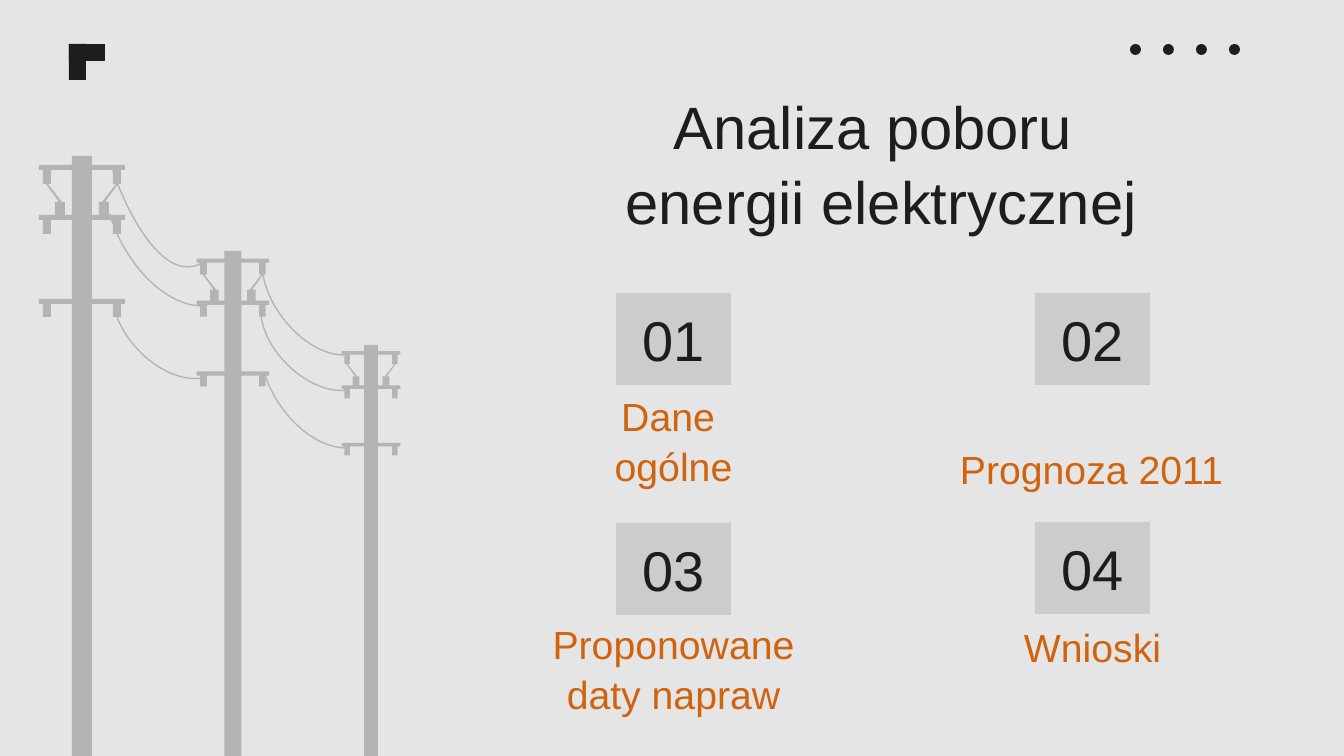
from lxml.etree import SubElement
from pptx import Presentation
from pptx.dml.color import RGBColor
from pptx.enum.shapes import MSO_SHAPE as Shape
from pptx.enum.text import MSO_ANCHOR as Anchor, PP_ALIGN as Align
from pptx.oxml.ns import qn
from pptx.util import Pt

SLIDE_WIDTH, SLIDE_HEIGHT = 1344, 756
SCALE = 9144000 / SLIDE_WIDTH
COLORS = {
    "background": "E5E5E5",
    "ink": "1D1D1B",
    "tile": "CCCCCC",
    "label": "D1630F",
    "pole": "B4B4B4",
}
POLE_HEIGHT = 600
POLE_EDGE = [
    (10, 0), (10, 9), (43, 9), (43, 14), (39, 14), (39, 28), (36, 28),
    (23, 46), (27, 46), (27, 59), (43, 59), (43, 64), (39, 64), (39, 78),
    (31, 78), (31, 64), (10, 64), (10, 143), (43, 143), (43, 148), (39, 148),
    (39, 161), (31, 161), (31, 148), (10, 148), (10, POLE_HEIGHT),
]
POLE_GAP = [(10, 59), (17, 59), (17, 46), (20, 46), (34, 28), (31, 28), (31, 14), (10, 14)]
POLES = [(194, 95), (332, 189), (43, 0)]
WIRES_BEHIND = [[(305, 199), (266, 199), (223, 149), (223, 107)]]
WIRES_IN_FRONT = [
    [(163, 107), (124, 129), (87, 54), (74, 15)],
    [(164, 150), (121, 150), (82, 99), (71, 58)],
    [(308, 292), (271, 292), (237, 253), (226, 219)],
    [(310, 234), (273, 240), (227, 199), (222, 160)],
    [(164, 222), (126, 228), (82, 187), (75, 150)],
]
CARDS = [
    ("01", ["Dane ", "ogólne"], (616, 293), (-112, 142, 339, 67)),
    ("02", ["Prognoza 2011"], (1035, 293), (-96, 138, 305, 74)),
    ("03", ["Proponowane", "daty napraw"], (616, 523), (-112, 140, 339, 67)),
    ("04", ["Wnioski"], (1035, 522), (-112, 87, 339, 74)),
]


def px(length):
    """Turn a length in px into EMU."""
    return round(length * SCALE)


def color(name):
    """Look up a named colour."""
    return RGBColor.from_string(COLORS[name])


def paint(shape, fill):
    """Give a shape a plain fill without line or shadow."""
    shape.shadow.inherit = False
    shape.fill.solid()
    shape.fill.fore_color.rgb = color(fill)
    shape.line.fill.background()


def add_block(slide, kind, box, fill):
    """Add a filled preset shape."""
    shape = slide.shapes.add_shape(kind, *map(px, box))
    paint(shape, fill)
    return shape


def write(shape, lines, *, size, ink="ink", anchor=Anchor.MIDDLE, spacing=1.0):
    """Write centred paragraphs into a shape."""
    frame = shape.text_frame
    frame.word_wrap = True
    frame.vertical_anchor = anchor
    frame.margin_left = frame.margin_right = px(13)
    frame.margin_top = frame.margin_bottom = px(13)
    for index, line in enumerate(lines):
        paragraph = frame.add_paragraph() if index else frame.paragraphs[0]
        paragraph.text = line
        paragraph.alignment = Align.CENTER
        paragraph.line_spacing = spacing
        paragraph.font.size = Pt(size)
        paragraph.font.name = "Arial"
        paragraph.font.color.rgb = color(ink)


def add_text(slide, lines, box, **text_format):
    """Add a text box with formatted lines."""
    write(slide.shapes.add_textbox(*map(px, box)), lines, **text_format)


def add_corner(slide, left, top, length, thickness):
    """Draw the corner mark."""
    for width, height in ((thickness, length), (length, thickness)):
        add_block(slide, Shape.RECTANGLE, (left, top, width, height), "ink")


def add_dots(slide, left, top, diameter, pitch, count):
    """Draw the row of dots."""
    for index in range(count):
        box = (left + index * pitch, top, diameter, diameter)
        add_block(slide, Shape.OVAL, box, "ink")


def add_card(slide, number, lines, corner, label):
    """Draw a numbered tile and its label, placed relative to the tile."""
    left, top = corner
    tile = add_block(slide, Shape.RECTANGLE, (left, top, 115, 92), "tile")
    write(tile, [number], size=30)
    label_left, label_top, width, height = label
    add_text(slide, lines, (left + label_left, top + label_top, width, height),
             size=21, ink="label", anchor=Anchor.BOTTOM, spacing=1.05)


def add_pole(slide, center, top, bottom):
    """Draw a symmetric power pole reaching from top to bottom."""
    ratio = (bottom - top) / POLE_HEIGHT

    def place(points, side):
        return [(px(center + side * x * ratio), px(top + y * ratio)) for x, y in points]

    outline = place(POLE_EDGE, 1) + place(POLE_EDGE, -1)[::-1]
    builder = slide.shapes.build_freeform(*outline[0])
    builder.add_line_segments(outline[1:], close=True)
    for side in (1, -1):
        gap = place(POLE_GAP, side)
        builder.move_to(*gap[0])
        builder.add_line_segments(gap[1:], close=True)
    paint(builder.convert_to_shape(), "pole")


def add_wire(slide, left, top, points):
    """Draw a wire as one cubic curve."""
    start, *rest = [(px(left + x), px(top + y)) for x, y in points]
    builder = slide.shapes.build_freeform(*start)
    builder.add_line_segments(rest, close=False)
    wire = builder.convert_to_shape()
    wire.shadow.inherit = False
    wire.fill.background()
    wire.line.color.rgb = color("pole")
    wire.line.width = Pt(0.75)
    segments = list(wire.element.iter(qn("a:lnTo")))
    curve = SubElement(segments[0].getparent(), qn("a:cubicBezTo"))
    for segment in segments:
        curve.append(segment[0])
        segment.getparent().remove(segment)


def add_power_line(slide, left, top, bottom):
    """Draw the poles and the wires between them."""
    for points in WIRES_BEHIND:
        add_wire(slide, left, top, points)
    for center, offset in POLES:
        add_pole(slide, left + center, top + offset, bottom)
    for points in WIRES_IN_FRONT:
        add_wire(slide, left, top, points)


def main():
    """Build and save the slide."""
    presentation = Presentation()
    presentation.slide_width = px(SLIDE_WIDTH)
    presentation.slide_height = px(SLIDE_HEIGHT)
    slide = presentation.slides.add_slide(presentation.slide_layouts[6])
    slide.background.fill.solid()
    slide.background.fill.fore_color.rgb = color("background")
    add_dots(slide, 1130, 44, 11, 33, 4)
    add_corner(slide, 69, 44, 36, 17)
    add_text(slide, ["Analiza poboru \venergii elektrycznej"], (481, 73, 801, 85),
             size=32, anchor=Anchor.TOP, spacing=1.05)
    for card in CARDS:
        add_card(slide, *card)
    add_power_line(slide, 39, 156, SLIDE_HEIGHT)
    presentation.save("out.pptx")


if __name__ == "__main__":
    main()
